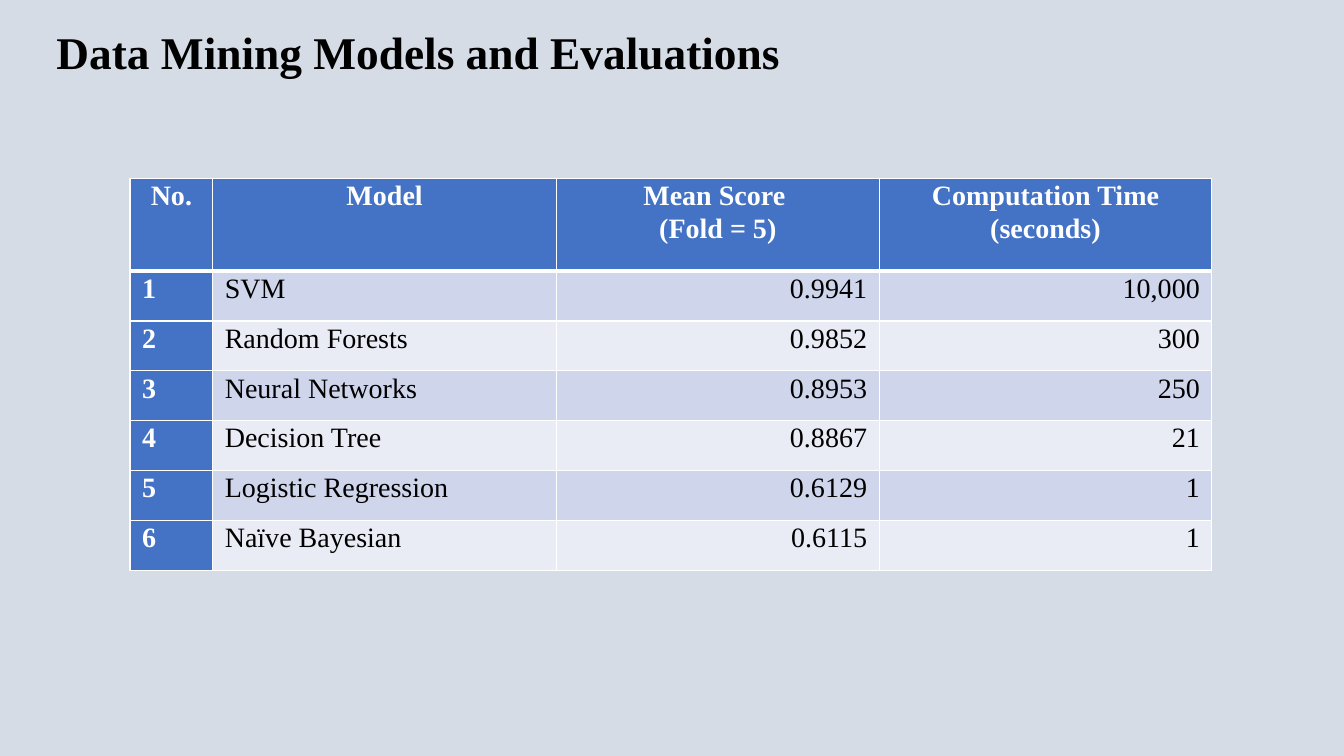
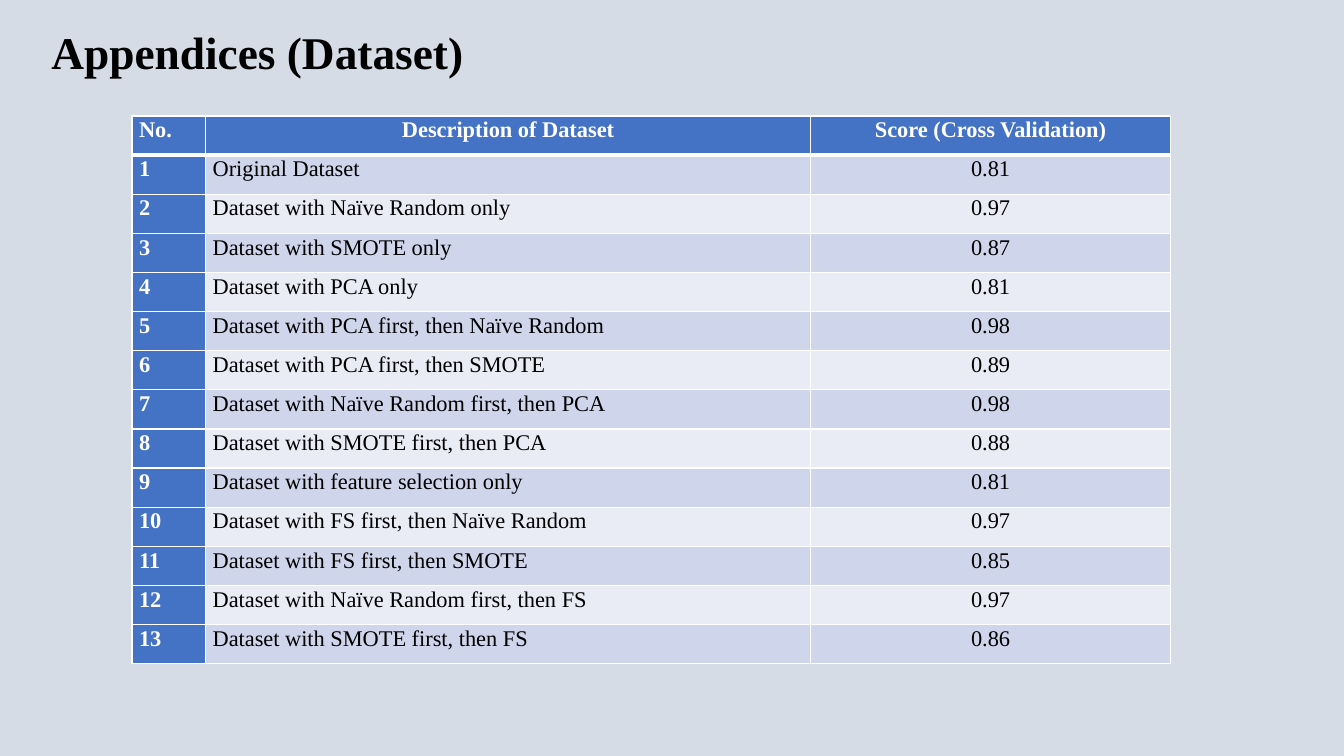
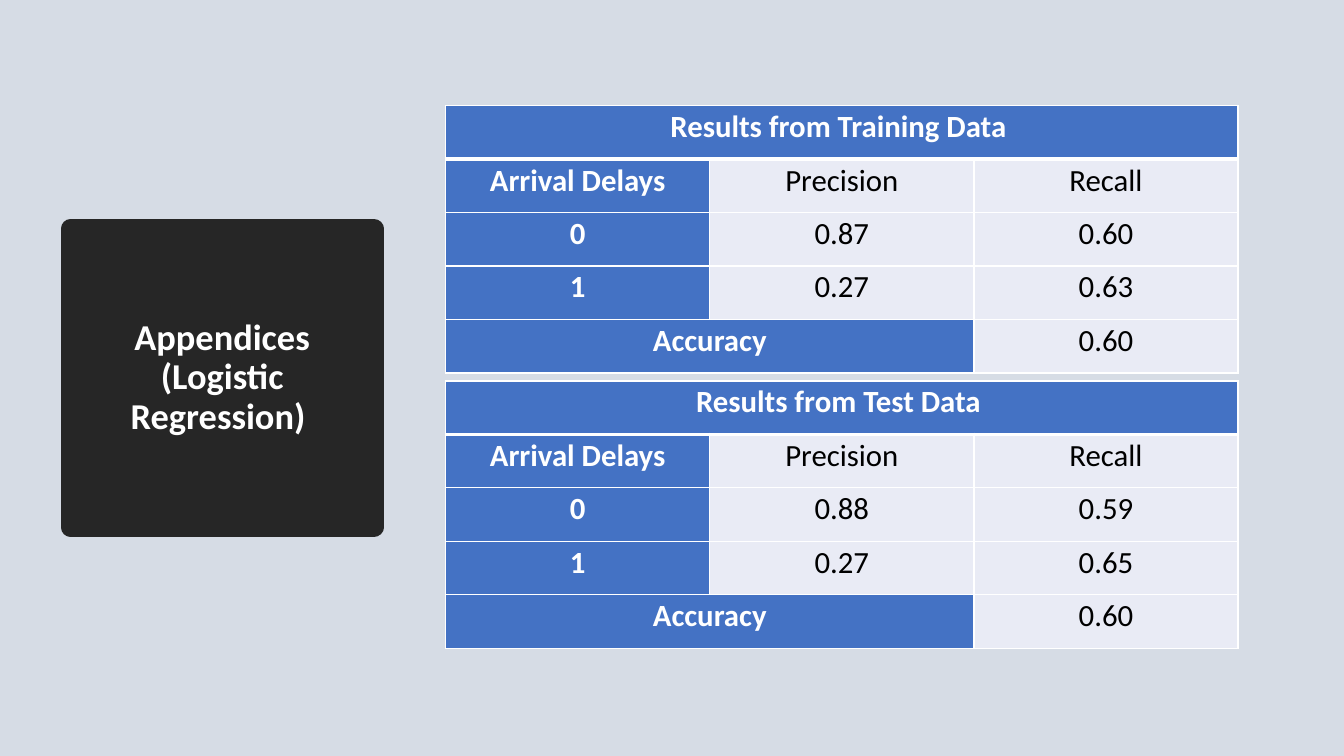
from dataclasses import dataclass

from lxml import etree
from pptx import Presentation
from pptx.dml.color import RGBColor
from pptx.enum.text import MSO_ANCHOR, MSO_AUTO_SIZE, PP_ALIGN
from pptx.oxml.ns import qn
from pptx.util import Inches, Pt

BACKGROUND = RGBColor(0xD6, 0xDC, 0xE5)
HEADER_BLUE = RGBColor(0x44, 0x72, 0xC4)
BAND_DARK = RGBColor(0xCF, 0xD5, 0xEA)
BAND_LIGHT = RGBColor(0xE9, 0xEB, 0xF5)
CHARCOAL = RGBColor(0x26, 0x26, 0x26)
BLACK = RGBColor(0, 0, 0)
WHITE = RGBColor(0xFF, 0xFF, 0xFF)
SERIF = "Times New Roman"
SANS = "Calibri"
TITLE_ONLY = 5
LEFT, CENTER, RIGHT, JUSTIFY = (
    PP_ALIGN.LEFT, PP_ALIGN.CENTER, PP_ALIGN.RIGHT, PP_ALIGN.JUSTIFY)

MODEL_ROWS = [
    ("No.", "Model", "Mean Score \n(Fold = 5)", "Computation Time (seconds)"),
    ("1", "SVM", "0.9941", "10,000"),
    ("2", "Random Forests", "0.9852", "300"),
    ("3", "Neural Networks", "0.8953", "250"),
    ("4", "Decision Tree", "0.8867", "21"),
    ("5", "Logistic Regression", "0.6129", "1"),
    ("6", "Naïve Bayesian", "0.6115", "1"),
]
DATASET_SCORES = [
    ("Original Dataset", "0.81"),
    ("Dataset with Naïve Random only", "0.97"),
    ("Dataset with SMOTE only", "0.87"),
    ("Dataset with PCA only", "0.81"),
    ("Dataset with PCA first, then Naïve Random", "0.98"),
    ("Dataset with PCA first, then SMOTE", "0.89"),
    ("Dataset with Naïve Random first, then PCA", "0.98"),
    ("Dataset with SMOTE first, then PCA", "0.88"),
    ("Dataset with feature selection only", "0.81"),
    ("Dataset with FS first, then Naïve Random", "0.97"),
    ("Dataset with FS first, then SMOTE", "0.85"),
    ("Dataset with Naïve Random first, then FS", "0.97"),
    ("Dataset with SMOTE first, then FS", "0.86"),
]


@dataclass
class TableStyle:
    """Text and fill settings that differ between the tables."""
    font: str
    size: int
    margin: float
    header_aligns: tuple
    body_aligns: tuple
    bands: tuple


MODEL_STYLE = TableStyle(SERIF, 20, 0.12, (CENTER,) * 4,
                         (LEFT, LEFT, RIGHT, RIGHT), (BAND_DARK, BAND_LIGHT))
DATASET_STYLE = TableStyle(SERIF, 16, 0.07, (JUSTIFY, CENTER, CENTER),
                           (JUSTIFY, JUSTIFY, CENTER), (BAND_DARK, BAND_LIGHT))
RESULT_STYLE = TableStyle(SANS, 22, 0.14, (CENTER,) * 3, (CENTER,) * 3,
                          (BAND_LIGHT,))


def format_text(text_frame, font, size, color, bold, align, spacing):
    """Apply one look to all paragraphs of a text frame."""
    for paragraph in text_frame.paragraphs:
        paragraph.alignment = align
        paragraph.line_spacing = spacing
        for run in paragraph.runs:
            run.font.name = font
            run.font.size = Pt(size)
            run.font.bold = bold
            run.font.color.rgb = color


def set_title(slide, title_text, box, font=SERIF, size=32.4, color=BLACK,
              align=LEFT):
    """Place, fill and format the title placeholder."""
    title = slide.shapes.title
    title.left, title.top, title.width, title.height = map(Inches, box)
    frame = title.text_frame
    frame.text = title_text
    frame.word_wrap = True
    frame.auto_size = MSO_AUTO_SIZE.NONE
    frame.vertical_anchor = MSO_ANCHOR.MIDDLE
    format_text(frame, font, size, color, True, align, 0.9)
    return title


def set_borders(cell, row):
    """Draw white cell borders, thicker under the header row."""
    properties = cell._tc.get_or_add_tcPr()
    widths = {"lnL": 1, "lnR": 1, "lnT": 3 if row == 1 else 1,
              "lnB": 3 if row == 0 else 1}
    for side, width in widths.items():
        line = etree.SubElement(properties, qn("a:" + side), w=str(Pt(width)))
        fill = etree.SubElement(line, qn("a:solidFill"))
        etree.SubElement(fill, qn("a:srgbClr"), val=str(WHITE))


def format_cell(cell, cell_text, row, column, style):
    """Write a cell and style it by its place in the table."""
    is_header = row == 0 or column == 0
    set_borders(cell, row)
    cell.fill.solid()
    cell.fill.fore_color.rgb = (
        HEADER_BLUE if is_header else style.bands[(row - 1) % len(style.bands)])
    cell.margin_left = cell.margin_right = Inches(style.margin)
    cell.margin_top = cell.margin_bottom = 0
    cell.text_frame.text = cell_text
    aligns = style.body_aligns if row else style.header_aligns
    format_text(cell.text_frame, style.font, style.size,
                WHITE if is_header else BLACK, is_header, aligns[column], 1.07)


def add_data_table(slide, rows, left, top, widths, heights, style):
    """Add a table with a header row and a header column."""
    table = slide.shapes.add_table(
        len(rows), len(widths), Inches(left), Inches(top),
        Inches(sum(widths)), Inches(sum(heights))).table
    for column, width in zip(table.columns, widths):
        column.width = Inches(width)
    for table_row, height in zip(table.rows, heights):
        table_row.height = Inches(height)
    for row, values in enumerate(rows):
        for column, value in enumerate(values):
            format_cell(table.cell(row, column), value, row, column, style)
    return table


def add_result_table(slide, top, heading, class_scores, accuracy):
    """Add a precision and recall table with merged heading and accuracy."""
    rows = [(heading, "", ""), ("Arrival Delays", "Precision", "Recall"),
            *class_scores, ("Accuracy", "", accuracy)]
    table = add_data_table(slide, rows, 4.42, top, [2.62] * 3,
                           [0.53] * len(rows), RESULT_STYLE)
    table.cell(0, 0).merge(table.cell(0, 2))
    table.cell(4, 0).merge(table.cell(4, 1))


def add_title_badge(slide, title_text):
    """Turn the title into a dark badge in front of the tables."""
    badge = set_title(slide, title_text, (0.7, 2.27, 3.01, 2.96),
                      SANS, 26, WHITE, CENTER)
    geometry = etree.Element(qn("a:prstGeom"), prst="ellipse")
    etree.SubElement(geometry, qn("a:avLst"))
    badge.element.spPr.insert(1, geometry)
    badge.fill.solid()
    badge.fill.fore_color.rgb = CHARCOAL
    badge.line.color.rgb = CHARCOAL
    badge.line.width = Pt(13.75)
    badge.element.getparent().append(badge.element)


def main():
    """Build and save the presentation."""
    presentation = Presentation()
    presentation.slide_width = Inches(13.33)
    presentation.slide_height = Inches(7.5)
    background = presentation.slide_master.background.fill
    background.solid()
    background.fore_color.rgb = BACKGROUND
    layout = presentation.slide_layouts[TITLE_ONLY]
    models, datasets, regression = (
        presentation.slides.add_slide(layout) for _ in range(3))

    set_title(models, "Data Mining Models and Evaluations",
              (0.46, 0.23, 11.42, 0.62))
    add_data_table(models, MODEL_ROWS, 1.29, 1.77, [0.82, 3.41, 3.2, 3.3],
                   [0.92] + [0.495] * 6, MODEL_STYLE)

    set_title(datasets, "Appendices (Dataset)", (0.41, 0.23, 11.42, 0.62))
    dataset_rows = [("No.", "Description of Dataset", "Score (Cross Validation)")]
    dataset_rows += [(str(number), *entry)
                     for number, entry in enumerate(DATASET_SCORES, 1)]
    add_data_table(datasets, dataset_rows, 1.31, 1.15, [0.73, 6, 3.57],
                   [5.44 / len(dataset_rows)] * len(dataset_rows), DATASET_STYLE)

    add_result_table(regression, 1.05, "Results from Training Data ",
                     [("0", "0.87", "0.60"), ("1", "0.27", "0.63")], "0.60")
    add_result_table(regression, 3.78, "Results from Test Data ",
                     [("0", "0.88", "0.59"), ("1", "0.27", "0.65")], "0.60")
    add_title_badge(regression, "Appendices\v(Logistic Regression) ")

    presentation.save("out.pptx")


main()
